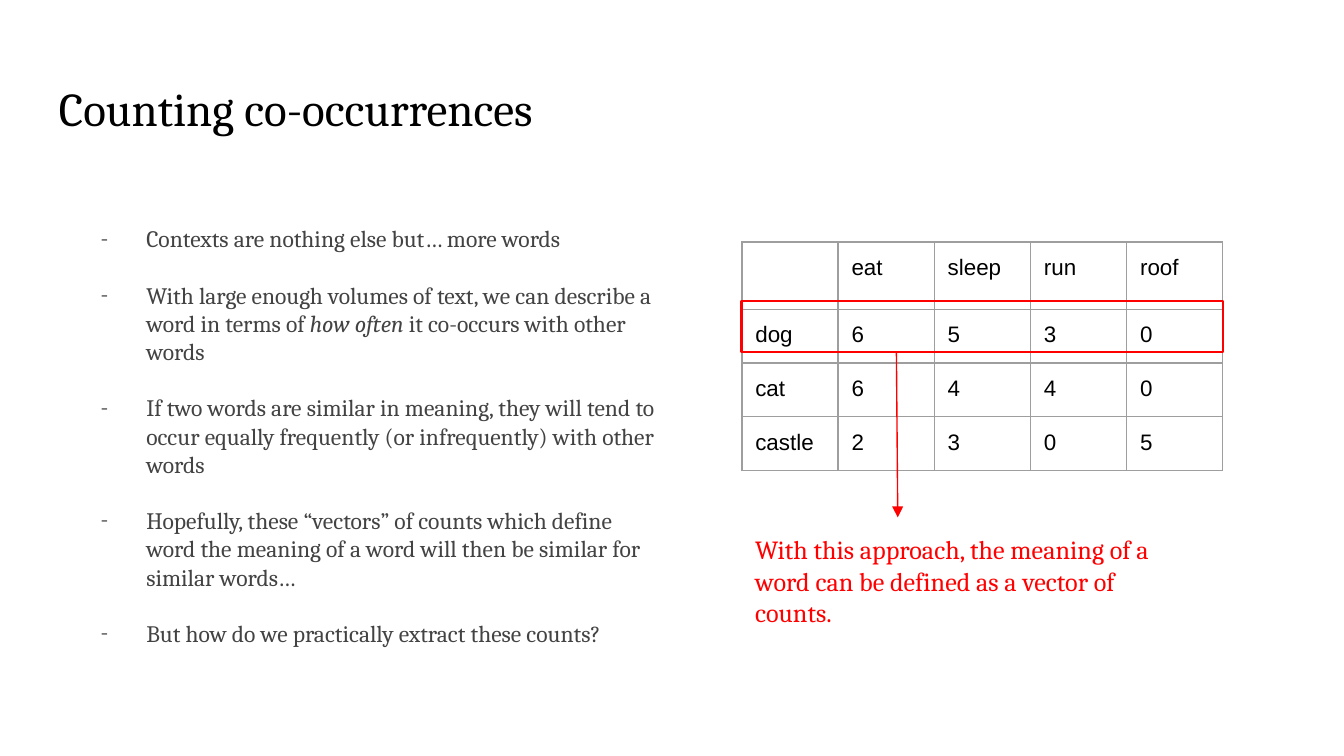
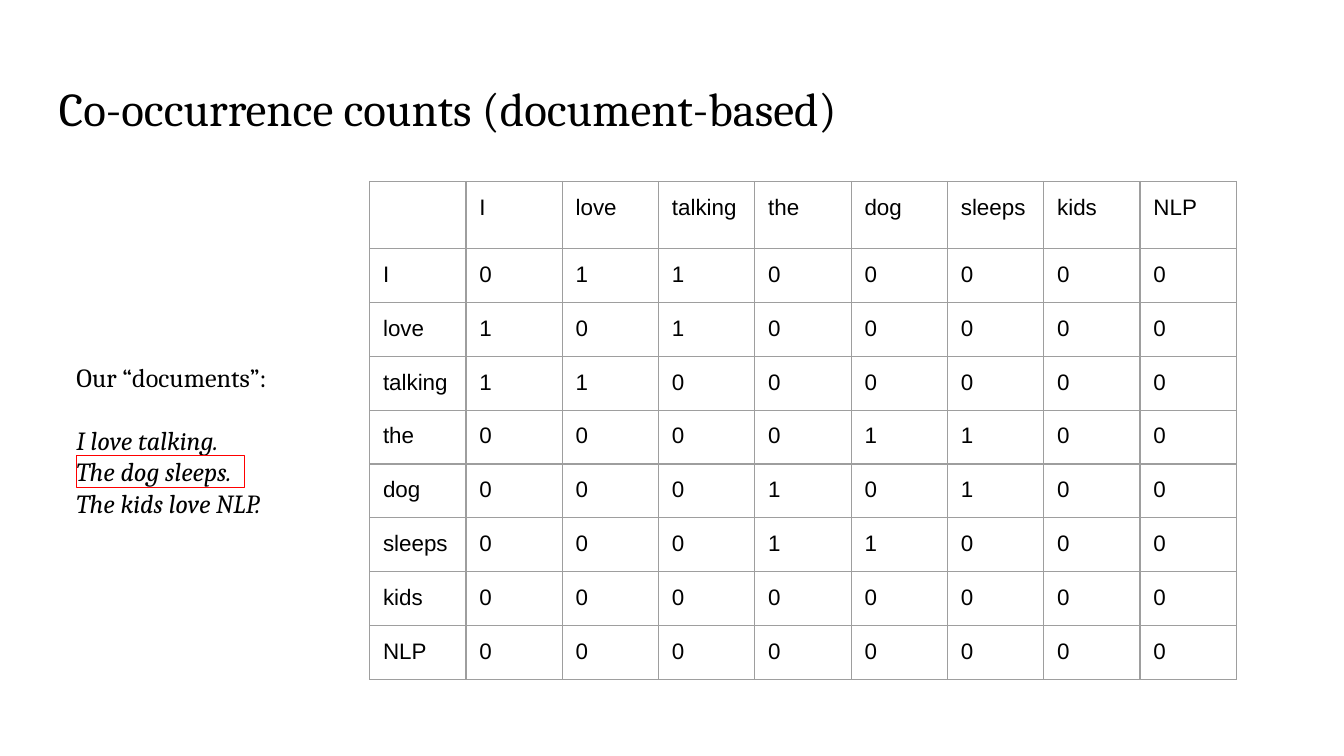
from lxml import etree
from pptx import Presentation
from pptx.dml.color import RGBColor
from pptx.enum.shapes import MSO_CONNECTOR, MSO_SHAPE
from pptx.enum.text import MSO_ANCHOR
from pptx.oxml.ns import qn
from pptx.util import Inches, Pt

STRAIGHT = MSO_CONNECTOR.STRAIGHT
RECTANGLE = MSO_SHAPE.RECTANGLE
TOP = MSO_ANCHOR.TOP

BLACK, GRAY, RED, GRID = "000000", "434343", "FF0000", "9E9E9E"
SERIF, SANS = "Cambria", "Arial"
PAD = 0.1
HEADER_HEIGHT, ROW_HEIGHT = 0.44, 0.37
TITLE_FORMAT = {"size": Pt(25.2), "name": SERIF}
POINT_FORMAT = {"size": Pt(12.6), "name": SERIF}
NOTE_FORMAT = {"size": Pt(14), "name": SERIF}
CELL_FORMAT = {"size": Pt(12), "name": SANS}
CORNER_FORMAT = {"size": Pt(18), "name": SANS}
POINT_GAP, DOCUMENT_GAP = 15, 16.9

COUNTING = {
    "title": "Counting co-occurrences",
    "points": [
        ["Contexts are nothing else but… more words"],
        ["With large enough volumes of text, we can describe a word in terms of ",
         "how often ", "it co-occurs with other words"],
        ["If two words are similar in meaning, they will tend to occur equally "
         "frequently (or infrequently) with other words"],
        ["Hopefully, these “vectors” of counts which define word the meaning of "
         "a word will then be similar for similar words…"],
        ["But how do we practically extract these counts?"],
    ],
    "contexts": ["eat", "sleep", "run", "roof"],
    "counts": {
        "dog": [6, 5, 3, 0],
        "cat": [6, 4, 4, 0],
        "castle": [2, 3, 0, 5],
    },
    "note": "With this approach, the meaning of a word can be defined as a vector of counts.",
}

DOCUMENTS = {
    "title": "Co-occurrence counts (document-based)",
    "intro": "Our “documents”:",
    "sentences": ["I love talking.", "The dog sleeps.", "The kids love NLP."],
    "counts": {
        "I": [0, 1, 1, 0, 0, 0, 0, 0],
        "love": [1, 0, 1, 0, 0, 0, 0, 0],
        "talking": [1, 1, 0, 0, 0, 0, 0, 0],
        "the": [0, 0, 0, 0, 1, 1, 0, 0],
        "dog": [0, 0, 0, 1, 0, 1, 0, 0],
        "sleeps": [0, 0, 0, 1, 1, 0, 0, 0],
        "kids": [0, 0, 0, 0, 0, 0, 0, 0],
        "NLP": [0, 0, 0, 0, 0, 0, 0, 0],
    },
}


def rgb(color):
    return RGBColor.from_string(color)


def set_font(font, formats):
    for key, value in formats.items():
        setattr(font, key, value)


def add_run(paragraph, text, formats, color=BLACK, italic=False):
    run = paragraph.add_run()
    run.text = text
    set_font(run.font, {**formats, "italic": italic})
    run.font.color.rgb = rgb(color)


def add_text(slide, place, paragraphs, formats, color=BLACK):
    frame = slide.shapes.add_textbox(*map(Inches, place)).text_frame
    frame.word_wrap = True
    frame.vertical_anchor = TOP
    for side in ("left", "right", "top", "bottom"):
        setattr(frame, f"margin_{side}", Inches(PAD))
    for index, runs in enumerate(paragraphs):
        paragraph = frame.add_paragraph() if index else frame.paragraphs[0]
        for text, italic in runs:
            add_run(paragraph, text, formats, color, italic)
    return frame.paragraphs


def add_dash(paragraph):
    properties = paragraph._p.get_or_add_pPr()
    properties.set("marL", str(Inches(0.5)))
    properties.set("indent", str(Inches(-0.34)))
    bullet_color = etree.SubElement(properties, qn("a:buClr"))
    etree.SubElement(bullet_color, qn("a:srgbClr"), val=GRAY)
    etree.SubElement(properties, qn("a:buFont"), typeface=SERIF)
    etree.SubElement(properties, qn("a:buChar"), char="-")


def style_cell(cell):
    for side in ("left", "right", "top", "bottom"):
        setattr(cell, f"margin_{side}", Inches(PAD))
    properties = cell._tc.get_or_add_tcPr()
    for tag in ("a:lnL", "a:lnR", "a:lnT", "a:lnB"):
        border = etree.SubElement(properties, qn(tag), w=str(Pt(0.75)))
        fill = etree.SubElement(border, qn("a:solidFill"))
        etree.SubElement(fill, qn("a:srgbClr"), val=GRID)
    cell.fill.background()


def fill_cell(cell, value):
    paragraph = cell.text_frame.paragraphs[0]
    formats = CORNER_FORMAT if value == "" else CELL_FORMAT
    set_font(paragraph.font, formats)
    if value != "":
        add_run(paragraph, str(value), formats)
    size = str(int(formats["size"].pt * 100))
    end = etree.SubElement(paragraph._p, qn("a:endParaRPr"), sz=size)
    for script in ("a:latin", "a:ea", "a:cs"):
        etree.SubElement(end, qn(script), typeface=SANS)


def add_counts(slide, left, top, width, contexts, counts):
    rows = [["", *contexts]] + [[word, *values] for word, values in counts.items()]
    heights = [HEADER_HEIGHT] + [ROW_HEIGHT] * len(counts)
    table = slide.shapes.add_table(
        len(rows), len(rows[0]), *map(Inches, (left, top, width, sum(heights)))).table
    table.first_row = False
    table.horz_banding = False
    for row, height, values in zip(table.rows, heights, rows):
        row.height = Inches(height)
        for cell, value in zip(row.cells, values):
            style_cell(cell)
            fill_cell(cell, value)


def add_frame(slide, place, weight):
    frame = slide.shapes.add_shape(RECTANGLE, *map(Inches, place))
    frame.shadow.inherit = False
    frame.fill.background()
    frame.line.color.rgb = rgb(RED)
    frame.line.width = Pt(weight)


def add_arrow(slide, start, end):
    arrow = slide.shapes.add_connector(STRAIGHT, *map(Inches, start + end))
    arrow.line.color.rgb = rgb(RED)
    arrow.line.width = Pt(0.75)
    etree.SubElement(arrow.line._get_or_add_ln(), qn("a:tailEnd"), type="triangle")
    etree.SubElement(arrow._element.spPr, qn("a:effectLst"))


def add_slide(deck, title):
    slide = deck.slides.add_slide(deck.slide_layouts[6])
    add_text(slide, (0.34, 0.49, 9.32, 0.63), [[(title, False)]], TITLE_FORMAT)
    return slide


def build_counting(deck):
    slide = add_slide(deck, COUNTING["title"])
    add_counts(slide, 5.52, 1.8, 3.58, COUNTING["contexts"], COUNTING["counts"])
    add_frame(slide, (5.52, 2.24, 3.58, 0.38), 1.5)
    add_arrow(slide, (6.67, 2.62), (6.68, 3.85))
    add_text(slide, (5.52, 3.87, 3.3, 0.91), [[(COUNTING["note"], False)]], NOTE_FORMAT, RED)
    points = [[(text, index == 1) for index, text in enumerate(point)]
              for point in COUNTING["points"]]
    paragraphs = add_text(slide, (0.49, 1.57, 4.51, 3.66), points, POINT_FORMAT, GRAY)
    for index, paragraph in enumerate(paragraphs):
        add_dash(paragraph)
        if index:
            paragraph.space_before = Pt(POINT_GAP)


def build_documents(deck):
    slide = add_slide(deck, DOCUMENTS["title"])
    lines = [[(DOCUMENTS["intro"], False)]]
    lines += [[(sentence, True)] for sentence in DOCUMENTS["sentences"]]
    paragraphs = add_text(slide, (0.47, 2.59, 1.94, 1.59), lines, NOTE_FORMAT)
    paragraphs[1].space_before = Pt(DOCUMENT_GAP)
    add_frame(slide, (0.57, 3.39, 1.25, 0.24), 0.75)
    counts = DOCUMENTS["counts"]
    add_counts(slide, 2.75, 1.35, 6.45, counts, counts)


def main():
    deck = Presentation()
    deck.slide_width = Inches(10)
    deck.slide_height = deck.slide_width * 9 // 16
    build_counting(deck)
    build_documents(deck)
    deck.save("out.pptx")


if __name__ == "__main__":
    main()
